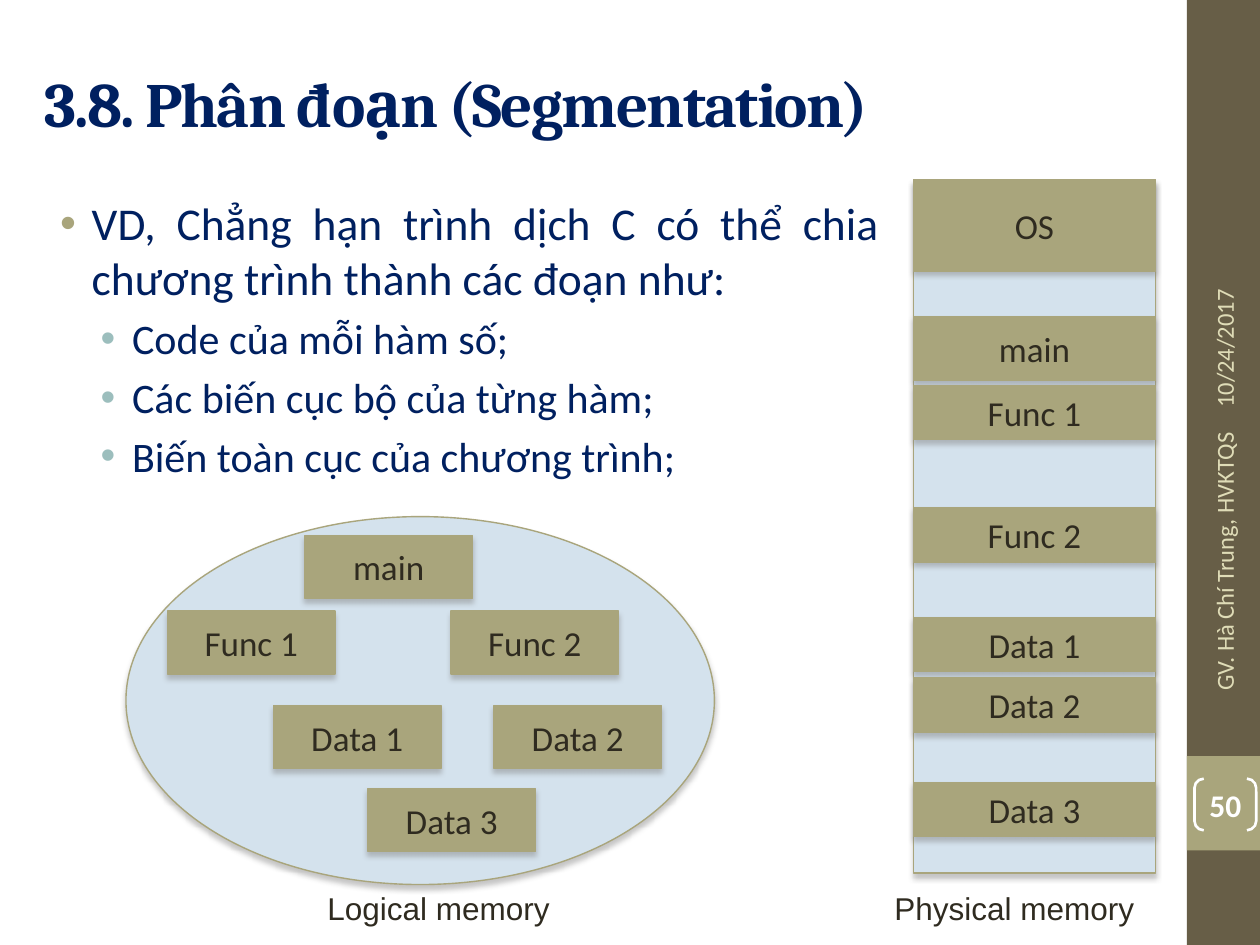
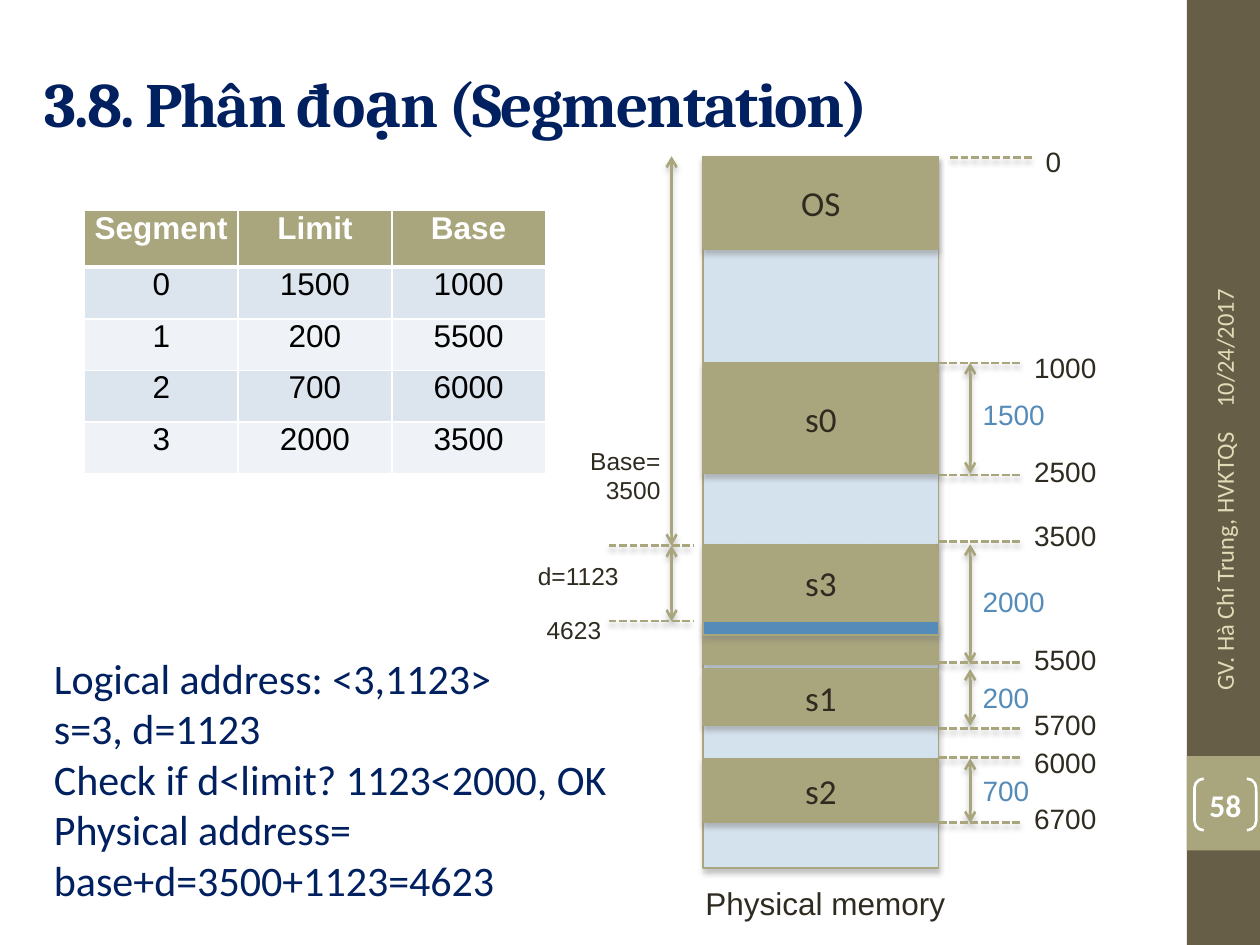
import pptx
import pptx.dml.color
import pptx.enum.dml
import pptx.enum.shapes
import pptx.enum.text
import pptx.oxml
import pptx.oxml.ns
import pptx.util

Inches, Pt = pptx.util.Inches, pptx.util.Pt
colour = pptx.dml.color.RGBColor.from_string
Shape = pptx.enum.shapes.MSO_SHAPE
Align = pptx.enum.text.PP_ALIGN
Anchor = pptx.enum.text.MSO_ANCHOR

# Shared look
NAVY, INK, WHITE, BLUE = "002060", "2F2B20", "FFFFFF", "558BB8"
OLIVE, BROWN, PALE, CREAM, TEAL = "A9A57C", "675E47", "D4E2ED", "DFDCB7", "9CBEBD"
NAMESPACE = pptx.oxml.ns.nsdecls("a")
SHADOW = (f'<a:effectLst {NAMESPACE}><a:outerShdw blurRad="38100" dist="30480" dir="5400000" '
          'rotWithShape="0"><a:srgbClr val="808080"><a:alpha val="45000"/></a:srgbClr>'
          '</a:outerShdw></a:effectLst>')


def add_box(page, at, lines=(), kind=None, fill=None, line=None, width=0.79, shadow=False,
            font="Calibri", size=20, ink=INK, bold=False, align=Align.LEFT, anchor=Anchor.TOP):
    """Add a text box, or a preset shape when a kind is given."""
    place = [Inches(length) for length in at]
    if kind is None:
        box = page.shapes.add_textbox(*place)
    else:
        box = page.shapes.add_shape(kind, *place)
        box.shadow.inherit = False
        if fill:
            box.fill.solid()
            box.fill.fore_color.rgb = colour(fill)
        else:
            box.fill.background()
        if line:
            box.line.color.rgb = colour(line)
            box.line.width = Pt(width)
        else:
            box.line.fill.background()
        if shadow:
            effects = box._element.spPr.find(pptx.oxml.ns.qn("a:effectLst"))
            effects.getparent().replace(effects, pptx.oxml.parse_xml(SHADOW))
    frame = box.text_frame
    frame.word_wrap = True
    frame.vertical_anchor = anchor
    for number, text in enumerate(lines):
        para = frame.paragraphs[0] if number == 0 else frame.add_paragraph()
        para.alignment = align
        span = para.add_run()
        span.text = text
        span.font.name, span.font.size, span.font.bold = font, Pt(size), bold
        span.font.color.rgb = colour(ink)
    return box


def add_line(page, start, end, arrows=False):
    """Add a two-headed arrow, or a dashed tick line."""
    line = page.shapes.add_connector(pptx.enum.shapes.MSO_CONNECTOR.STRAIGHT,
                                     *[Inches(length) for length in (*start, *end)])
    line.line.color.rgb = colour(OLIVE)
    line.line.width = Pt(1.5)
    if arrows:
        for tip in ("headEnd", "tailEnd"):
            line.line._get_or_add_ln().append(
                pptx.oxml.parse_xml(f'<a:{tip} {NAMESPACE} type="arrow"/>'))
    else:
        line.line.dash_style = pptx.enum.dml.MSO_LINE.SQUARE_DOT
    line._element.spPr.append(pptx.oxml.parse_xml(SHADOW))


block = dict(kind=Shape.RECTANGLE, fill=OLIVE, line=OLIVE, shadow=True,
             align=Align.CENTER, anchor=Anchor.MIDDLE)
memory = dict(block, fill=PALE)
caption = dict(font="Arial", size=18)

deck = pptx.Presentation()
deck.slide_width, deck.slide_height = Inches(10), Inches(7.5)

# Title, side band, footer and page number of both slides
pages = []
for page_number in ("50", "58"):
    page = deck.slides.add_slide(deck.slide_layouts[5])
    pages.append(page)
    add_box(page, (9.42, 0, 0.58, 7.5), kind=Shape.RECTANGLE, fill=BROWN)
    add_box(page, (9.42, 6, 0.58, 0.75), kind=Shape.RECTANGLE, fill=OLIVE)

    title = page.shapes.title
    title.left, title.top = Inches(0.25), Inches(0.3)
    title.width, title.height = Inches(8.92), Inches(1.03)
    title.text_frame.vertical_anchor = Anchor.MIDDLE
    title.text_frame.auto_size = pptx.enum.text.MSO_AUTO_SIZE.NONE
    para = title.text_frame.paragraphs[0]
    para.alignment = Align.LEFT
    span = para.add_run()
    span.text = "3.8. Phân đoạn (Segmentation)"
    span.font.name, span.font.size, span.font.bold = "Cambria", Pt(36), True
    span.font.color.rgb = colour(NAVY)
    span.font._element.set("spc", "-100")

    for text, at, align in (("10/24/2017", (8.38, 1.8, 2.67, 0.4), Align.LEFT),
                            ("GV. Hà Chí Trung, HVKTQS", (8.42, 4.43, 2.59, 0.4), Align.RIGHT)):
        footer = add_box(page, at, [text], size=14, ink=CREAM, align=align, anchor=Anchor.MIDDLE)
        footer.rotation = 270

    badge = add_box(page, (9.48, 6.18, 0.49, 0.41), [page_number], kind=Shape.DOUBLE_BRACKET,
                    line=WHITE, width=1.5, size=18, ink=WHITE, bold=True,
                    align=Align.CENTER, anchor=Anchor.MIDDLE)
    badge.adjustments[0] = 0.18
    frame = badge.text_frame
    frame.margin_left = frame.margin_right = frame.margin_top = frame.margin_bottom = 0

example, lookup = pages

# Slide 1: bulleted text
body = add_box(example, (0.25, 1.5, 6.83, 2.5),
               ["VD, Chẳng hạn trình dịch C có thể chia chương trình thành các đoạn như:",
                "Code của mỗi hàm số;",
                "Các biến cục bộ của từng hàm;",
                "Biến toàn cục của chương trình;"],
               size=24, ink=NAVY, align=Align.JUSTIFY)
for number, para in enumerate(body.text_frame.paragraphs):
    margin, bullet_ink = (0.7, TEAL) if number else (0.38, OLIVE)
    properties = para._p.get_or_add_pPr()
    properties.set("marL", str(Inches(margin)))
    properties.set("indent", str(Inches(-0.25)))
    for bullet in (f'<a:buClr {NAMESPACE}><a:srgbClr val="{bullet_ink}"/></a:buClr>',
                   f'<a:buFont {NAMESPACE} typeface="Arial"/>',
                   f'<a:buChar {NAMESPACE} char="•"/>'):
        properties.append(pptx.oxml.parse_xml(bullet))
    if number:
        para.level = 1
        para.space_before = Pt(4.8)
    else:
        para.runs[0].font.size = Pt(26)

# Slide 1: logical memory
add_box(example, (1, 4.1, 4.67, 2.92), **dict(memory, kind=Shape.OVAL))
for name, left, top in (("main", 2.42, 4.25), ("Func 1", 1.33, 4.85), ("Func 2", 3.58, 4.85),
                        ("Data 1", 2.17, 5.6), ("Data 2", 3.92, 5.6), ("Data 3", 2.92, 6.26)):
    add_box(example, (left, top, 1.33, 0.5), [name], **block)
add_box(example, (2.5, 7.01, 2.25, 0.4), ["Logical memory"], **caption)

# Slide 1: physical memory
add_box(example, (7.25, 1.43, 1.92, 5.5), **memory)
for name, top, height in (("OS", 1.43, 0.72), ("main", 2.51, 0.51), ("Func 1", 3.06, 0.43),
                          ("Func 2", 4.03, 0.43), ("Data 1", 4.9, 0.43),
                          ("Data 2", 5.38, 0.43), ("Data 3", 6.21, 0.43)):
    add_box(example, (7.25, top, 1.92, height), [name], **block)
add_box(example, (7, 7.01, 2.25, 0.4), ["Physical memory"], **caption)

# Slide 2: segment table
rows = (("Segment", "Limit", "Base"), ("0", "1500", "1000"), ("1", "200", "5500"),
        ("2", "700", "6000"), ("3", "2000", "3500"))
table = lookup.shapes.add_table(5, 3, Inches(0.67), Inches(1.67), Inches(3.66), Inches(2.09)).table
for column in table.columns:
    column.width = Inches(1.22)
for row_number, values in enumerate(rows):
    header = row_number == 0
    table.rows[row_number].height = Inches(0.45 if header else 0.41)
    row_fill = OLIVE if header else ("EFF3F7", "DCE5EE")[row_number % 2]
    for column_number, value in enumerate(values):
        cell = table.cell(row_number, column_number)
        cell.margin_left = cell.margin_right = Inches(0.05)
        cell.margin_top = cell.margin_bottom = 0
        for side in "LRTB":
            thick = (side == "B" and header) or (side == "T" and row_number == 1)
            cell._tc.get_or_add_tcPr().append(pptx.oxml.parse_xml(
                f'<a:ln{side} {NAMESPACE} w="{Pt(3 if thick else 1)}"><a:solidFill>'
                f'<a:srgbClr val="{WHITE}"/></a:solidFill></a:ln{side}>'))
        cell.fill.solid()
        cell.fill.fore_color.rgb = colour(row_fill)
        para = cell.text_frame.paragraphs[0]
        para.alignment = Align.CENTER
        span = para.add_run()
        span.text = value
        span.font.name, span.font.size, span.font.bold = "Arial", Pt(18), header
        span.font.color.rgb = colour(WHITE if header else "000000")

# Slide 2: physical memory with segment lengths
add_box(lookup, (5.58, 1.24, 1.87, 5.65), **memory)
add_box(lookup, (5.58, 1.24, 1.87, 0.74), ["OS"], **block)
for name, top, height, limit, limit_top in (("s0", 2.88, 0.88, "1500", 3.11),
                                            ("s3", 4.32, 0.95, "2000", 4.59),
                                            ("s1", 5.31, 0.45, "200", 5.35),
                                            ("s2", 6.02, 0.51, "700", 6.09)):
    segment = add_box(lookup, (5.58, top, 1.87, height), [name], **block)
    if name == "s3":
        segment.text_frame.margin_bottom = Inches(0.39)
    add_line(lookup, (7.7, top), (7.7, top + height), arrows=True)
    add_box(lookup, (7.7, limit_top, 0.9, 0.33), [limit], font="Arial", size=16, ink=BLUE)
add_box(lookup, (5.58, 4.93, 1.87, 0.11), **dict(block, fill=BLUE))
add_box(lookup, (5.5, 6.97, 2.2, 0.36), ["Physical memory"], **caption)

# Slide 2: address ticks
for address, left, tick, label_top in (("0", 7.54, 1.25, 1.1), ("1000", 7.45, 2.88, 2.73),
                                       ("2500", 7.45, 3.77, 3.56), ("3500", 7.45, 4.3, 4.07),
                                       ("5500", 7.45, 5.26, 5.05), ("5700", 7.45, 5.78, 5.57),
                                       ("6000", 7.45, 6.01, 5.87), ("6700", 7.45, 6.53, 6.31)):
    add_line(lookup, (left, tick), (left + 0.66, tick))
    add_box(lookup, (left + 0.66, label_top, 0.9, 0.33), [address], font="Arial", size=16)

# Slide 2: base and offset
for top, bottom in ((1.24, 4.33), (4.33, 4.93)):
    add_line(lookup, (5.33, top), (5.33, bottom), arrows=True)
    add_line(lookup, (4.83, bottom), (5.5, bottom))
for lines, at, align in ((["Base=", "3500"], (4.42, 3.49, 0.92, 0.51), Align.RIGHT),
                         (["4623"], (3.95, 4.83, 0.92, 0.34), Align.RIGHT),
                         (["d=1123"], (4.17, 4.4, 1.08, 0.34), Align.LEFT)):
    add_box(lookup, at, lines, font="Arial", size=14, align=align)

# Slide 2: address calculation
add_box(lookup, (0.33, 5.13, 4.83, 2.12),
        ["Logical address: <3,1123>", "s=3, d=1123", "Check if d<limit? 1123<2000, OK",
         "Physical address= base+d=3500+1123=4623"], size=24, ink=NAVY)

deck.save("out.pptx")
